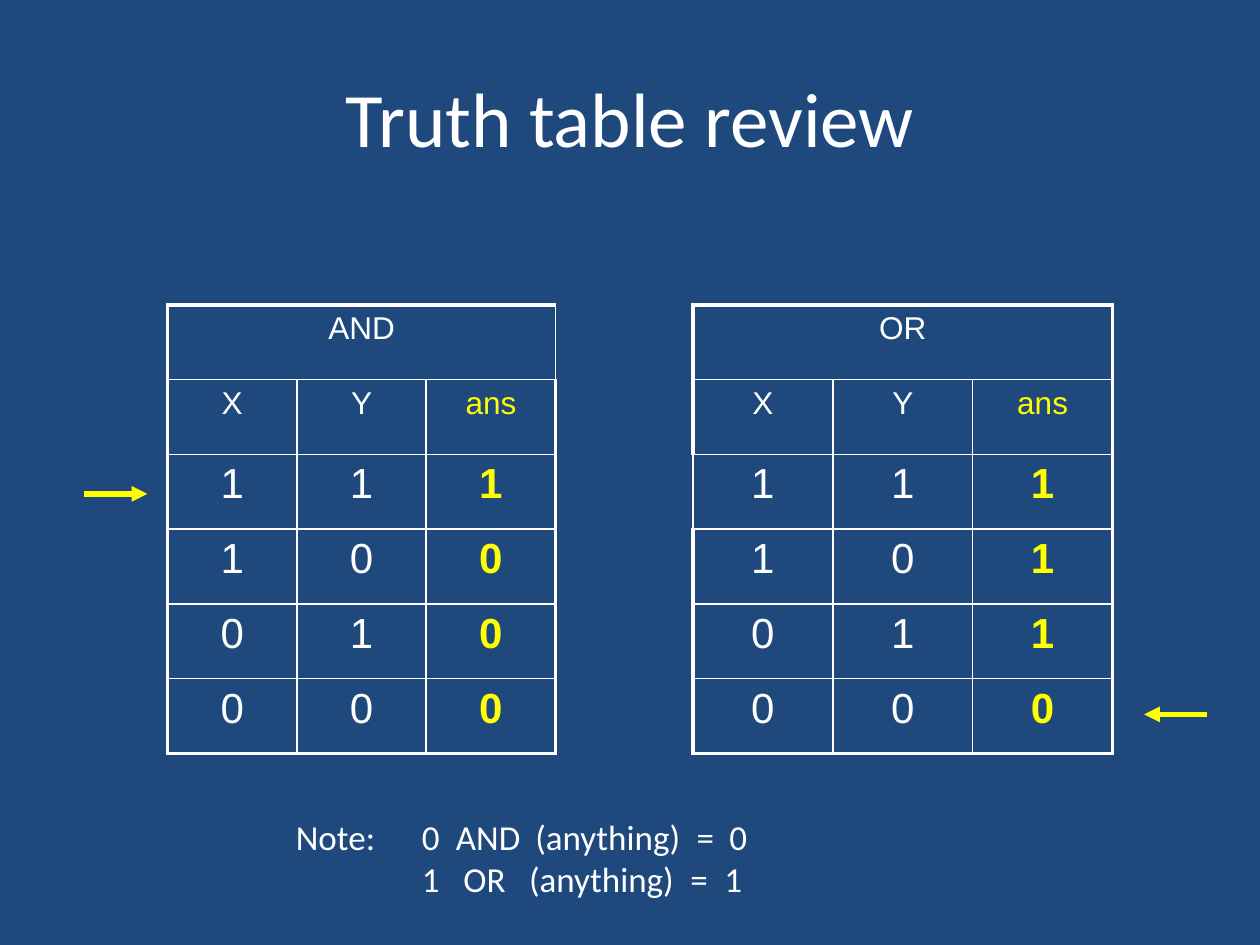
"""Build the truth table review slide."""
from dataclasses import dataclass

from lxml import etree
from pptx import Presentation
from pptx.dml.color import RGBColor
from pptx.enum.shapes import MSO_CONNECTOR
from pptx.enum.text import MSO_ANCHOR, PP_ALIGN
from pptx.oxml.ns import qn
from pptx.util import Inches, Pt

STRAIGHT = MSO_CONNECTOR.STRAIGHT
MIDDLE = MSO_ANCHOR.MIDDLE
CENTER = PP_ALIGN.CENTER


@dataclass(frozen=True)
class Theme:
    """Colours, fonts, type sizes and line widths."""
    back: str = "1F497D"
    ink: str = "FFFFFF"
    accent: str = "FFFF00"
    text_font: str = "Calibri"
    table_font: str = "Arial"
    title: int = 44
    note: int = 20
    label: int = 18
    value: int = 24
    thin: float = 1
    thick: float = 2.25
    arrow: float = 3


class SlideBuilder:
    """Hold the theme and the current slide, and add styled elements to it."""

    def __init__(self, prs, theme):
        """Add a title-only slide with a plain background."""
        self.theme = theme
        self.slide = prs.slides.add_slide(prs.slide_layouts[5])
        fill = self.slide.background.fill
        fill.solid()
        fill.fore_color.rgb = RGBColor.from_string(theme.back)

    def style(self, p, font, size, color=None, bold=False):
        """Set the font of a paragraph."""
        p.font.name = font
        p.font.size = Pt(size)
        p.font.bold = bold
        p.font.color.rgb = RGBColor.from_string(color or self.theme.ink)

    def title(self, text):
        """Fill and place the title placeholder."""
        sp = self.slide.shapes.title
        sp.left, sp.top = Inches(0.5), Inches(0.3)
        sp.width, sp.height = Inches(9), Inches(1.25)
        tf = sp.text_frame
        tf.text = text
        tf.vertical_anchor = MIDDLE
        p = tf.paragraphs[0]
        p.alignment = CENTER
        self.style(p, self.theme.text_font, self.theme.title)

    def borders(self, cell, widths):
        """Draw the four cell borders, given in the order L, R, T, B."""
        tc_pr = cell._tc.get_or_add_tcPr()
        for i, (side, width) in enumerate(zip("LRTB", widths)):
            ln = etree.Element(qn(f"a:ln{side}"), w=str(Pt(width)))
            fill = etree.SubElement(ln, qn("a:solidFill"))
            etree.SubElement(fill, qn("a:srgbClr"), val=self.theme.ink)
            tc_pr.insert(i, ln)

    def truth_table(self, left, width, name, answers, thin_edge):
        """Add a truth table; thin_edge is the (row, side) of its one thin outer edge."""
        t = self.theme
        inputs = ["11", "10", "01", "00"]
        rows = [[name, "", ""], ["X", "Y", "ans"]]
        rows += [[*xy, ans] for xy, ans in zip(inputs, answers)]
        last_row, last_col = len(rows) - 1, 2
        table = self.slide.shapes.add_table(
            len(rows), 3, Inches(left), Inches(2.42), Inches(width), Inches(3.56)).table
        table.first_row = table.horz_banding = False
        table.cell(0, 0).merge(table.cell(0, last_col))
        for r, row in enumerate(rows):
            for c, text in enumerate(row):
                cell = table.cell(r, c)
                cell.fill.background()
                outer = [c == 0 and thin_edge != (r, "L"),
                         c == last_col and thin_edge != (r, "R"),
                         r == 0, r == last_row]
                if r == 0 and c == 0:
                    outer[1] = thin_edge != (r, "R")
                self.borders(cell, [t.thick if o else t.thin for o in outer])
                if not text:
                    continue
                cell.text = text
                p = cell.text_frame.paragraphs[0]
                p.alignment = CENTER
                is_value, is_answer = r > 1, c == last_col
                self.style(p, t.table_font, t.value if is_value else t.label,
                           t.accent if is_answer else t.ink, is_value and is_answer)

    def arrow(self, start, end, y):
        """Add a level arrow that points at end."""
        line = self.slide.shapes.add_connector(
            STRAIGHT, Inches(start), Inches(y), Inches(end), Inches(y))
        line.line.color.rgb = RGBColor.from_string(self.theme.accent)
        line.line.width = Pt(self.theme.arrow)
        etree.SubElement(line.line._get_or_add_ln(), qn("a:tailEnd"), type="triangle")
        etree.SubElement(line._element.spPr, qn("a:effectLst"))

    def note(self, lines):
        """Add the note, each line given as its text and its tab stops in inches."""
        sp = self.slide.shapes.add_textbox(
            Inches(1.25), Inches(6.42), Inches(7.42), Inches(0.77))
        tf = sp.text_frame
        tf.word_wrap = True
        for i, (text, stops) in enumerate(lines):
            p = tf.add_paragraph() if i else tf.paragraphs[0]
            p.text = text
            tabs = etree.SubElement(p._p.get_or_add_pPr(), qn("a:tabLst"))
            for stop in stops:
                etree.SubElement(tabs, qn("a:tab"), pos=str(Inches(stop)), algn="l")
            self.style(p, self.theme.text_font, self.theme.note)


def main():
    """Build and save the slide."""
    prs = Presentation()
    prs.slide_width, prs.slide_height = Inches(10), Inches(7.5)
    s = SlideBuilder(prs, Theme())
    s.title("Truth table review")
    s.truth_table(1.33, 3.08, "AND", "1000", (0, "R"))
    s.truth_table(5.5, 3.33, "OR", "1110", (2, "L"))
    s.arrow(0.67, 1.17, 3.92)
    s.arrow(9.58, 9.08, 5.67)
    s.note([
        ("\tNote:\t0\tAND\t(anything)\t=\t0", [1, 2, 2.27, 2.9, 4.18, 4.44]),
        ("\t1\tOR\t(anything)\t=\t1", [2, 2.33, 2.85, 4.13, 4.4]),
    ])
    prs.save("out.pptx")


if __name__ == "__main__":
    main()
